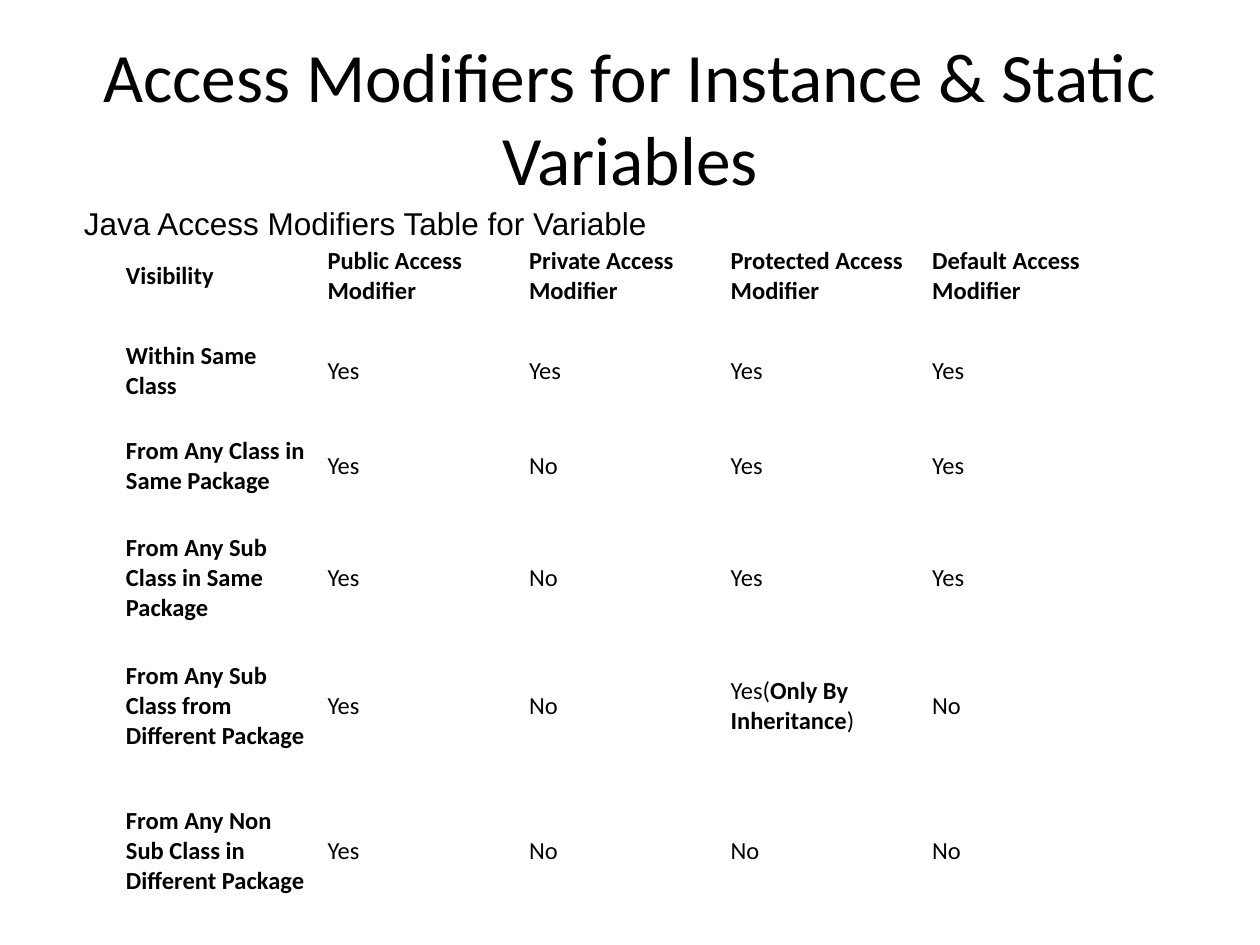
from pptx import Presentation
from pptx.dml.color import RGBColor
from pptx.enum.text import MSO_ANCHOR, MSO_AUTO_SIZE, PP_ALIGN
from pptx.util import Pt

PX = 914400 // 126
MIDDLE = MSO_ANCHOR.MIDDLE
CENTER, LEFT = PP_ALIGN.CENTER, PP_ALIGN.LEFT
NO_AUTOFIT = MSO_AUTO_SIZE.NONE
TITLE_ONLY = 5
INK = "000000"
NO_STYLE_NO_GRID = "{2D5ABB26-0587-4C30-8999-92F81FD0307C}"

TITLE = "Access Modifiers for Instance & Static Variables"
CAPTION = "Java Access Modifiers Table for Variable"
MODIFIERS = ["Public", "Private", "Protected", "Default"]
INHERITED = [("Yes(", False), ("Only By Inheritance", True), (")", False)]
VISIBILITY = [
    ("Within Same Class", ["Yes", "Yes", "Yes", "Yes"]),
    ("From Any Class in Same Package", ["Yes", "No", "Yes", "Yes"]),
    ("From Any Sub Class in Same Package", ["Yes", "No", "Yes", "Yes"]),
    ("From Any Sub Class from Different Package", ["Yes", "No", INHERITED, "No"]),
    ("From Any Non Sub Class in Different Package", ["Yes", "No", "No", "No"]),
]
ROW_HEIGHTS = [112, 78, 112, 112, 145, 145]


def px(*lengths):
    """Turn pixel lengths into EMU."""
    return [length * PX for length in lengths]


def color(hex_string):
    """Return the colour for a hex string."""
    return RGBColor.from_string(hex_string)


def write(frame, runs, size, font, align=LEFT, insets=(0, 0, 0, 0)):
    """Fill a text frame's first paragraph with (text, bold) runs."""
    paragraph = frame.paragraphs[0]
    paragraph.alignment = align
    for text, bold in runs:
        run = paragraph.add_run()
        run.text = text
        run.font.size = Pt(size)
        run.font.name = font
        run.font.bold = bold
        run.font.color.rgb = color(INK)


def place_title(slide, box):
    """Move and format the title placeholder."""
    title = slide.shapes.title
    title.left, title.top, title.width, title.height = px(*box)
    frame = title.text_frame
    frame.word_wrap = True
    frame.auto_size = NO_AUTOFIT
    frame.vertical_anchor = MIDDLE
    write(frame, [(TITLE, False)], 39.6, "Calibri", CENTER)


def place_caption(slide, box):
    """Add the line above the table."""
    frame = slide.shapes.add_textbox(*px(*box)).text_frame
    frame.word_wrap = True
    frame.vertical_anchor = MIDDLE
    frame.margin_left = frame.margin_right = 0
    frame.margin_top = frame.margin_bottom = 0
    write(frame, [(CAPTION, False)], 18, "Arial")


def place_visibility_table(slide, box):
    """Add the table of visibility by access modifier."""
    header = ["Visibility"] + [f"{name} Access Modifier" for name in MODIFIERS]
    rows = [header] + [[scope] + answers for scope, answers in VISIBILITY]
    graphic = slide.shapes.add_table(len(rows), len(header), *px(*box))
    table = graphic.table
    table.first_row = table.horz_banding = False
    table._tbl.tblPr[0].text = NO_STYLE_NO_GRID
    for column in table.columns:
        column.width = box[2] * PX // len(header)
    for row, height in zip(table.rows, ROW_HEIGHTS):
        row.height = height * PX
    for r, row in enumerate(rows):
        for c, content in enumerate(row):
            cell = table.cell(r, c)
            cell.fill.background()
            cell.vertical_anchor = MIDDLE
            cell.margin_left, cell.margin_right = px(10, 10)
            cell.margin_top, cell.margin_bottom = px(5, 5)
            heading = r == 0 or c == 0
            runs = [(content, heading)] if isinstance(content, str) else content
            write(cell.text_frame, runs, 14, "Calibri")


def build():
    """Build and save the slide."""
    deck = Presentation()
    deck.slide_width, deck.slide_height = px(1260, 945)
    slide = deck.slides.add_slide(deck.slide_layouts[TITLE_ONLY])
    slide.background.fill.solid()
    slide.background.fill.fore_color.rgb = color("FFFFFF")
    place_title(slide, (63, 38, 1134, 157))
    place_visibility_table(slide, (116, 220, 1008, sum(ROW_HEIGHTS)))
    place_caption(slide, (84, 205, 1092, 36))
    deck.save("out.pptx")


build()
